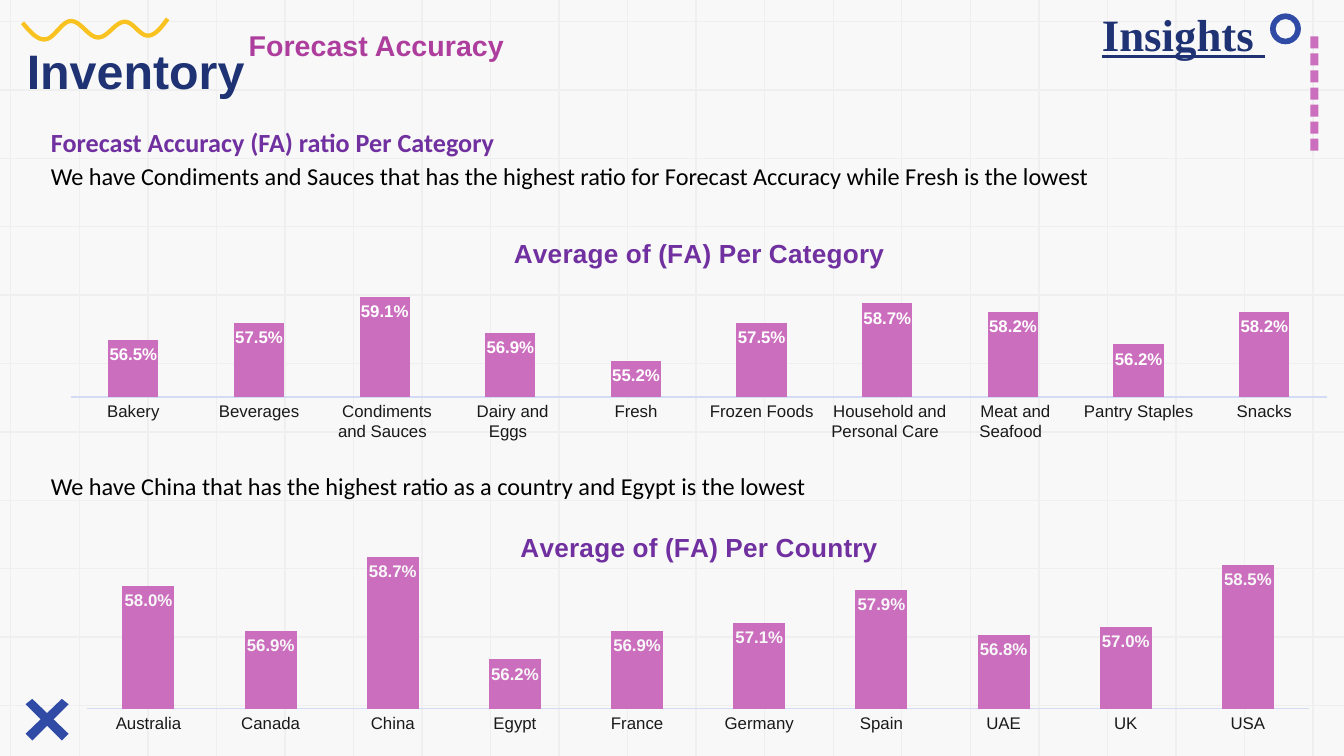
"""Build the inventory forecast accuracy slide with its two column charts."""
from math import cos, hypot, pi, sin

from lxml import etree
from pptx import Presentation
from pptx.chart.data import CategoryChartData
from pptx.dml.color import RGBColor
from pptx.enum.chart import XL_CHART_TYPE, XL_LABEL_POSITION, XL_TICK_MARK
from pptx.enum.shapes import MSO_CONNECTOR, MSO_SHAPE
from pptx.enum.text import PP_ALIGN
from pptx.oxml import parse_xml
from pptx.oxml.ns import nsdecls, qn
from pptx.util import Inches, Pt

BACKGROUND = RGBColor(0xF8, 0xF8, 0xF8)
GRID = RGBColor(0xEF, 0xEF, 0xEF)
PINK = RGBColor(0xCB, 0x6E, 0xBE)
BLUE = RGBColor(0x30, 0x4B, 0xA6)
YELLOW = RGBColor(0xF8, 0xC2, 0x20)
NAVY = RGBColor(0x1F, 0x33, 0x74)
MAGENTA = RGBColor(0xAD, 0x3E, 0x9D)
PURPLE = RGBColor(0x70, 0x30, 0xA0)
BLACK = RGBColor(0, 0, 0)
WHITE = RGBColor(0xFF, 0xFF, 0xFF)
AXIS_TEXT = RGBColor(0x19, 0x19, 0x19)
AXIS_LINE = RGBColor(0xD4, 0xDB, 0xF4)

WIDTH = 10
HEIGHT = WIDTH * 9 / 16


def paint(shape, color):
    shape.fill.solid()
    shape.fill.fore_color.rgb = color
    shape.line.fill.background()
    shape.shadow.inherit = False


def place_in_chart(element, position, **places):
    for old_layout in element.findall(qn("c:layout")):
        element.remove(old_layout)
    layout = parse_xml(f"<c:layout {nsdecls('c')}><c:manualLayout/></c:layout>")
    for tag, value in places.items():
        etree.SubElement(layout[0], qn(f"c:{tag}")).set("val", str(value))
    element.insert(position, layout)


presentation = Presentation()
presentation.slide_width = Inches(WIDTH)
presentation.slide_height = Inches(HEIGHT)
slide = presentation.slides.add_slide(presentation.slide_layouts[6])
slide.background.fill.solid()
slide.background.fill.fore_color.rgb = BACKGROUND

rows = [0.16 + 0.509 * index for index in range(11)]
columns = [0.08 + 0.51 * index for index in range(20)]
grid_lines = [(0, y, WIDTH, y) for y in rows] + [(x, 0, x, HEIGHT) for x in columns]
for ends in grid_lines:
    line = slide.shapes.add_connector(MSO_CONNECTOR.STRAIGHT, *map(Inches, ends))
    line.line.color.rgb = GRID
    line.line.width = Pt(0.75)
    etree.SubElement(line._element.spPr, qn("a:effectLst"))

for index in range(7):
    dash = slide.shapes.add_shape(MSO_SHAPE.RECTANGLE, Inches(9.75), Inches(0.27 + 0.127 * index),
                                  Inches(0.06), Inches(0.09))
    paint(dash, PINK)

ring = slide.shapes.add_shape(MSO_SHAPE.DONUT, Inches(9.45), Inches(0.1), Inches(0.23), Inches(0.23))
ring.adjustments[0] = 0.18
paint(ring, BLUE)

stroke = [(0.24, 5.2), (0.19, 5.24), (0.46, 5.51), (0.51, 5.46)]
outlines = [(stroke, BLUE), ([(0.7 - x, y) for x, y in stroke], BLUE)]

turns = [(0.17, 0.15), (0.33, 0.28), (0.53, 0.15), (0.73, 0.28),
         (0.93, 0.17), (1.1, 0.28), (1.25, 0.16)]
center_line = [turns[0]]
for number, ((x1, y1), (x2, y2)) in enumerate(zip(turns, turns[1:])):
    for step in range(1, 13):
        part = step / 12
        if number == 0:
            rise = sin(part * pi / 2)
        elif number == len(turns) - 2:
            rise = 1 - cos(part * pi / 2)
        else:
            rise = (1 - cos(part * pi)) / 2
        center_line.append((x1 + (x2 - x1) * part, y1 + (y2 - y1) * rise))
upper, lower = [], []
for index, (x, y) in enumerate(center_line):
    before = center_line[max(index - 1, 0)]
    after = center_line[min(index + 1, len(center_line) - 1)]
    run, drop = after[0] - before[0], after[1] - before[1]
    scale = 0.016 / hypot(run, drop)
    upper.append((x + drop * scale, y - run * scale))
    lower.append((x - drop * scale, y + run * scale))
outlines.append((upper + lower[::-1], YELLOW))

for points, color in outlines:
    points = [(Inches(x), Inches(y)) for x, y in points]
    builder = slide.shapes.build_freeform(*points[0])
    builder.add_line_segments(points[1:], close=True)
    outline = builder.convert_to_shape()
    paint(outline, color)
outline.rotation = 357.9

texts = [
    ("Inventory", (0.15, 0.34, 2.3, 0.49), (0.05, 0.05), "Arial", 25.9, NAVY, True, 0.8),
    ("Forecast Accuracy", (1.8, 0.21, 2.2, 0.35), (0.05, 0.05), "Arial", 15.3, MAGENTA, True, 0.8),
    ("Forecast Accuracy (FA) ratio Per Category", (0.28, 0.86, 4.01, 0.36), (0.1, 0.05),
     "Calibri", 14, PURPLE, True, 1.15),
    ("We have Condiments and Sauces that has the highest ratio for Forecast Accuracy "
     "while Fresh is the lowest", (0.28, 1.15, 8.66, 0.32), (0.1, 0.05), "Calibri", 13, BLACK, False, 1),
    ("We have China that has the highest ratio as a country and Egypt is the lowest",
     (0.28, 3.46, 6.12, 0.32), (0.1, 0.05), "Calibri", 13, BLACK, False, 1),
    ("Insights ", (7.93, -0.05, 1.75, 0.54), (0.1, 0.1), "Times New Roman", 24, NAVY, True, 1),
]
for text, box, (side, top), font_name, size, color, bold, spacing in texts:
    text_box = slide.shapes.add_textbox(*map(Inches, box))
    frame = text_box.text_frame
    frame.word_wrap = True
    frame.margin_left = frame.margin_right = Inches(side)
    frame.margin_top = frame.margin_bottom = Inches(top)
    frame.text = text
    paragraph = frame.paragraphs[0]
    paragraph.line_spacing = spacing
    if spacing == 0.8:
        paragraph.space_before = Pt(12)
        paragraph.space_after = Pt(2)
    font = paragraph.runs[0].font
    font.name, font.size, font.bold = font_name, Pt(size), bold
    font.color.rgb = color
paragraph.alignment = PP_ALIGN.CENTER
font.underline = True

charts = [
    ("Average of (FA) Per Category", XL_CHART_TYPE.COLUMN_STACKED, (0.33, 1.64, 9.74, 1.68),
     {" Bakery ": 0.565, " Beverages ": 0.575, " Condiments and Sauces ": 0.591,
      " Dairy and Eggs ": 0.569, " Fresh ": 0.552, " Frozen Foods ": 0.575,
      " Household and Personal Care ": 0.587, " Meat and Seafood ": 0.582,
      " Pantry Staples ": 0.562, " Snacks ": 0.582},
     150, 100, (0.53, 0.6), (0.02, 0.273, 0.96, 0.51), WHITE),
    ("Average of (FA) Per Country", XL_CHART_TYPE.COLUMN_CLUSTERED, (0.5, 3.83, 9.4, 1.68),
     {"Australia": 0.58, "Canada": 0.569, "China": 0.587, "Egypt": 0.562, "France": 0.569,
      "Germany": 0.571, "Spain": 0.579, "UAE": 0.568, "UK": 0.57, "USA": 0.585},
     135, -27, (0.55, 0.59), (0.016, 0.132, 0.967, 0.728), BACKGROUND),
]
for title, kind, box, accuracy, gap, overlap, limits, area, label_color in charts:
    data = CategoryChartData(number_format="0.0%")
    data.categories = list(accuracy)
    data.add_series("Series 1", list(accuracy.values()))
    chart = slide.shapes.add_chart(kind, *map(Inches, box), data).chart
    chart.has_legend = False
    chart.font.name, chart.font.size = "Arial", Pt(10)
    chart.font.color.rgb = NAVY

    title_frame = chart.chart_title.text_frame
    title_frame.text = title
    title_font = title_frame.paragraphs[0].runs[0].font
    title_font.name, title_font.size, title_font.bold = "Arial", Pt(14), True
    title_font.color.rgb = PURPLE
    place_in_chart(chart.chart_title._element, 1, xMode="edge", yMode="edge", x=0.355, y=0.05)
    x, y, width, height = area
    place_in_chart(chart._chartSpace.chart.plotArea, 0, layoutTarget="inner", xMode="edge",
                   yMode="edge", x=x, y=y, w=width, h=height)

    value_axis = chart.value_axis
    value_axis.minimum_scale, value_axis.maximum_scale = limits
    value_axis.has_major_gridlines = False
    value_axis.visible = False
    category_axis = chart.category_axis
    category_axis.major_tick_mark = XL_TICK_MARK.NONE
    category_axis.format.line.color.rgb = AXIS_LINE
    category_axis.format.line.width = Pt(0.75)
    category_axis.tick_labels.font.name = "Arial"
    category_axis.tick_labels.font.size = Pt(9)
    category_axis.tick_labels.font.color.rgb = AXIS_TEXT

    plot = chart.plots[0]
    plot.gap_width, plot.overlap = gap, overlap
    plot.vary_by_categories = False
    series = plot.series[0]
    series.format.fill.solid()
    series.format.fill.fore_color.rgb = PINK
    labels = series.data_labels
    labels.show_value = True
    labels.position = XL_LABEL_POSITION.INSIDE_END
    labels.number_format, labels.number_format_is_linked = "0.0%", False
    labels.font.name, labels.font.size, labels.font.bold = "Arial", Pt(9), True
    labels.font.color.rgb = label_color

presentation.save("out.pptx")
